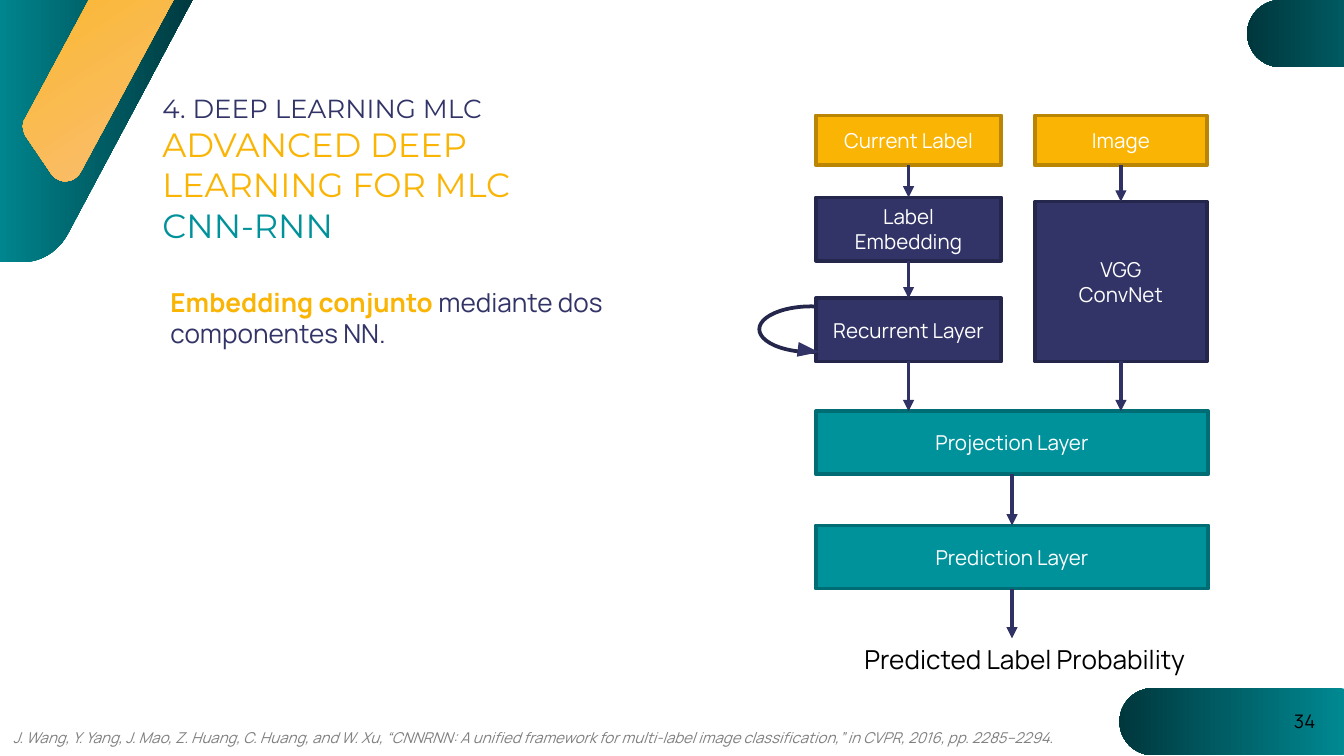
from dataclasses import dataclass

from lxml import etree
from pptx import Presentation
from pptx.dml.color import RGBColor
from pptx.enum.shapes import MSO_CONNECTOR, MSO_SHAPE
from pptx.enum.text import MSO_ANCHOR, PP_ALIGN
from pptx.oxml.ns import qn
from pptx.util import Pt

EMU_PER_PX = 9144
CURVE_STEPS = 12
RECTANGLE = MSO_SHAPE.RECTANGLE
ROUNDED = MSO_SHAPE.ROUNDED_RECTANGLE
ELLIPSE = MSO_SHAPE.OVAL
TRIANGLE = MSO_SHAPE.ISOSCELES_TRIANGLE
STRAIGHT = MSO_CONNECTOR.STRAIGHT
CENTER = PP_ALIGN.CENTER
LEFT = PP_ALIGN.LEFT
MIDDLE = MSO_ANCHOR.MIDDLE


@dataclass(frozen=True)
class Theme:
    heading_font: str = "Montserrat"
    body_font: str = "Manrope"
    gold: str = "FAB403"
    gold_edge: str = "B98502"
    navy: str = "323366"
    navy_edge: str = "25264B"
    teal: str = "00929B"
    teal_edge: str = "006C73"
    arrow: str = "303165"
    white: str = "FFFFFF"
    black: str = "000000"
    gray: str = "808080"
    teal_fade: tuple = ((0, "00929B"), (100, "00373D"))
    gold_fade: tuple = ((0, "FAB403"), (34, "FAB93C"), (100, "FABE75"))
    title_size: int = 18
    body_size: int = 14
    box_size: int = 11
    page_size: int = 10
    citation_size: int = 8
    line_width: int = 2


THEME = Theme()


def px(value):
    return round(value * EMU_PER_PX)


def rgb(code):
    return RGBColor.from_string(code)


def add_span(para, text, size, color, font=THEME.body_font, bold=False, italic=False):
    span = para.add_run()
    span.text = text
    span.font.name = font
    span.font.size = Pt(size)
    span.font.color.rgb = rgb(color)
    span.font.bold = bold
    span.font.italic = italic


def add_paragraph(frame, index, align):
    para = frame.paragraphs[0] if index == 0 else frame.add_paragraph()
    para.alignment = align
    return para


def add_text(page, area, paragraphs, align=LEFT, wrap=True):
    box = page.shapes.add_textbox(*map(px, area))
    frame = box.text_frame
    frame.word_wrap = wrap
    for index, spans in enumerate(paragraphs):
        para = add_paragraph(frame, index, align)
        for span in spans:
            add_span(para, **span)


def add_figure(page, kind, area, fill, edge=None):
    shape = page.shapes.add_shape(kind, *map(px, area))
    shape.shadow.inherit = False
    shape.fill.solid()
    shape.fill.fore_color.rgb = rgb(fill)
    if edge:
        shape.line.color.rgb = rgb(edge)
        shape.line.width = Pt(THEME.line_width)
    else:
        shape.line.fill.background()
    return shape


def add_layer(page, area, lines, fill, edge):
    shape = add_figure(page, RECTANGLE, area, fill, edge)
    frame = shape.text_frame
    frame.word_wrap = True
    frame.vertical_anchor = MIDDLE
    for index, line in enumerate(lines):
        para = add_paragraph(frame, index, CENTER)
        add_span(para, line, THEME.box_size, THEME.white)
    return shape


def add_arrow(page, source, end):
    x = source.left + source.width // 2
    line = page.shapes.add_connector(STRAIGHT, x, source.top + source.height, x, end)
    line.line.color.rgb = rgb(THEME.arrow)
    line.line.width = Pt(THEME.line_width)
    etree.SubElement(line.line._get_or_add_ln(), qn("a:tailEnd"), type="triangle")
    etree.SubElement(line._element.spPr, qn("a:effectLst"))


def apply_fade(shape, stops, angle):
    shape.shadow.inherit = False
    shape.line.fill.background()
    shape.fill.gradient()
    gradient = shape._element.spPr.find(qn("a:gradFill"))
    stop_list = gradient.find(qn("a:gsLst"))
    for old in list(stop_list):
        stop_list.remove(old)
    for percent, color in stops:
        stop = etree.SubElement(stop_list, qn("a:gs"), pos=str(percent * 1000))
        etree.SubElement(stop, qn("a:srgbClr"), val=color)
    direction = gradient.find(qn("a:lin"))
    direction.set("ang", str(angle * 60000))
    direction.set("scaled", "0")


def curve_points(*controls):
    points = []
    for step in range(1, CURVE_STEPS + 1):
        t = step / CURVE_STEPS
        weights = ((1 - t) ** 3, 3 * t * (1 - t) ** 2, 3 * t * t * (1 - t), t ** 3)
        points.append(tuple(
            sum(weight * control[axis] for weight, control in zip(weights, controls))
            for axis in (0, 1)))
    return points


def add_outline(page, points, stops, angle):
    corners = [(px(x), px(y)) for x, y in points]
    builder = page.shapes.build_freeform(*corners[0], scale=1.0)
    builder.add_line_segments(corners[1:], close=True)
    apply_fade(builder.convert_to_shape(), stops, angle)


def add_decoration(page):
    teal_corner = [(-25, -9), (148, -9), (50, 175),
                   *curve_points((50, 175), (43, 187), (31, 195), (17, 195)),
                   (-25, 195)]
    gold_band = [(19, 101), (38, 129),
                 *curve_points((38, 129), (43, 137), (55, 137), (60, 128)),
                 (135, -11), (100, -63), (19, 88),
                 *curve_points((19, 88), (16, 92), (17, 97), (19, 101))]
    add_outline(page, teal_corner, THEME.teal_fade, 0)
    add_outline(page, gold_band, THEME.gold_fade, 57)
    for left, top in ((833, 512), (928, 0)):
        pill = page.shapes.add_shape(ROUNDED, *map(px, (left, top, 186, 50)))
        pill.adjustments[0] = 0.5
        apply_fade(pill, THEME.teal_fade, 180)


def add_diagram(page):
    gold = (THEME.gold, THEME.gold_edge)
    navy = (THEME.navy, THEME.navy_edge)
    teal = (THEME.teal, THEME.teal_edge)
    add_figure(page, ELLIPSE, (565, 228, 77, 34), THEME.white, THEME.navy_edge)
    label = add_layer(page, (607, 86, 138, 37), ["Current Label"], *gold)
    image = add_layer(page, (770, 86, 128, 37), ["Image"], *gold)
    convnet = add_layer(page, (770, 150, 128, 119), ["VGG", "ConvNet"], *navy)
    embedding = add_layer(page, (607, 147, 138, 47), ["Label Embedding"], *navy)
    recurrent = add_layer(page, (607, 222, 138, 47), ["Recurrent Layer"], *navy)
    projection = add_layer(page, (607, 306, 292, 47), ["Projection Layer"], *teal)
    prediction = add_layer(page, (607, 391, 292, 47), ["Prediction Layer"], *teal)
    for source, target in ((label, embedding), (image, convnet),
                           (embedding, recurrent), (recurrent, projection),
                           (convnet, projection), (projection, prediction)):
        add_arrow(page, source, target.top)
    add_arrow(page, prediction, px(475))
    loop_head = add_figure(page, TRIANGLE, (596, 253, 11, 16), THEME.navy)
    loop_head.rotation = 97.3
    add_text(page, (478, 474, 569, 34), [[
        dict(text="Predicted Label Probability", size=THEME.body_size,
             color=THEME.black)]], align=CENTER)


def add_writing(page):
    headings = (("4. DEEP LEARNING MLC", THEME.body_size, THEME.navy),
                ("ADVANCED DEEP LEARNING FOR MLC", THEME.title_size, THEME.gold),
                ("CNN-RNN", THEME.title_size, THEME.teal))
    add_text(page, (111, 64, 356, 125), [
        [dict(text=text, size=size, color=color, font=THEME.heading_font)]
        for text, size, color in headings])
    citation = ("J. Wang, Y. Yang, J. Mao, Z. Huang, C. Huang, and W. Xu, "
                "“CNNRNN: A unified framework for multi-label image "
                "classification,” in CVPR, 2016, pp. 2285–2294.")
    add_text(page, (0, 537, 810, 24), [[
        dict(text=citation, size=THEME.citation_size, color=THEME.gray, italic=True)]])
    add_text(page, (953, 523, 36, 27), [[
        dict(text="34", size=THEME.page_size, color=THEME.black)]], wrap=False)
    add_text(page, (117, 208, 356, 57), [[
        dict(text="Embedding conjunto ", size=THEME.body_size, color=THEME.gold,
             bold=True),
        dict(text="mediante dos componentes NN.", size=THEME.body_size,
             color=THEME.navy)]])


def main():
    deck = Presentation()
    deck.slide_width = px(1000)
    deck.slide_height = deck.slide_width * 9 // 16
    page = deck.slides.add_slide(deck.slide_layouts[6])
    add_decoration(page)
    add_diagram(page)
    add_writing(page)
    deck.save("out.pptx")


if __name__ == "__main__":
    main()
